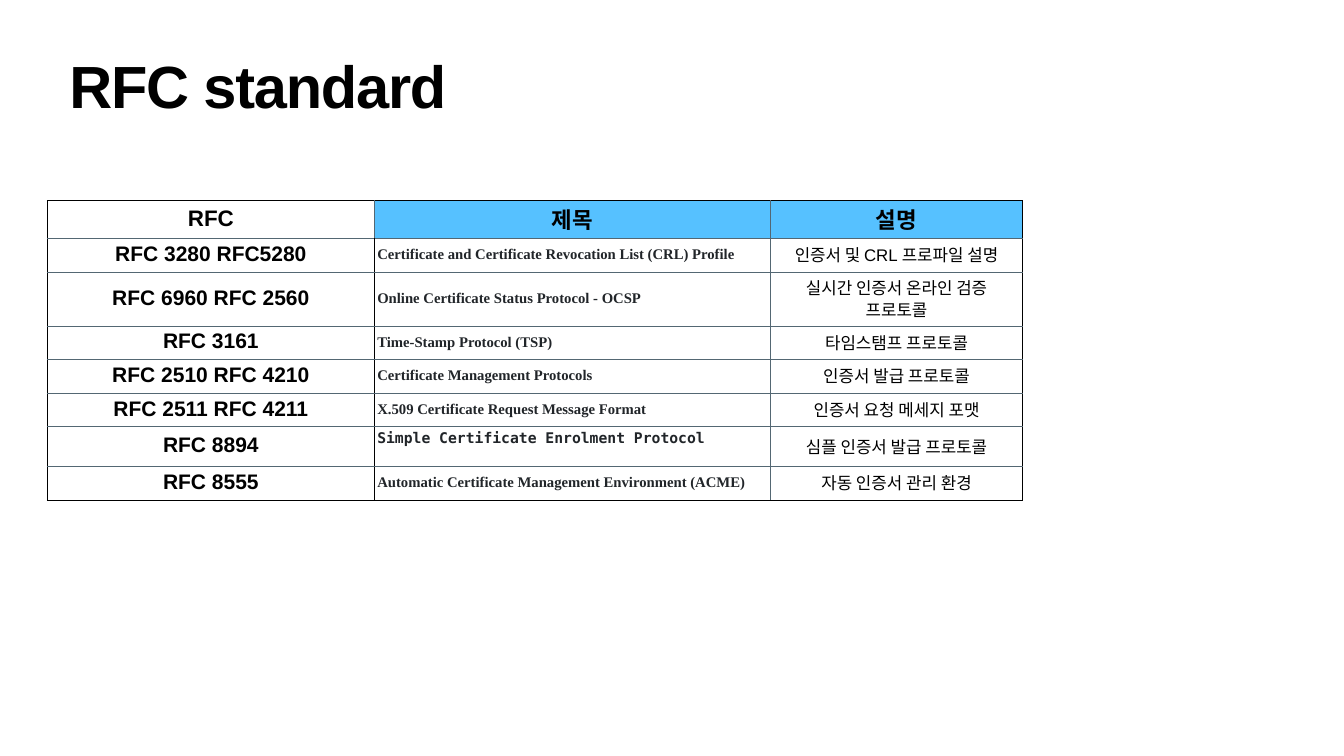
from pptx import Presentation
from pptx.dml.color import RGBColor
from pptx.enum.text import MSO_ANCHOR as Anchor, PP_ALIGN as Align
from pptx.oxml.ns import qn
from pptx.util import Pt
from lxml.etree import SubElement as Sub

BLACK, GRAY, DARK, BLUE, WHITE = "000000", "536773", "212529", "56C1FF", "FFFFFF"
SERIF, MONO = "Times New Roman", "DejaVu Sans Mono"
PAD = 4

HEAD = ["RFC", "제목", "설명"]
ROWS = [
    ("RFC 3280 RFC5280", "Certificate and Certificate Revocation List (CRL) Profile", "인증서 및 CRL 프로파일 설명"),
    ("RFC 6960 RFC 2560", "Online Certificate Status Protocol - OCSP", "실시간 인증서 온라인 검증 프로토콜"),
    ("RFC 3161", "Time-Stamp Protocol (TSP)", "타임스탬프 프로토콜"),
    ("RFC 2510 RFC 4210", "Certificate Management Protocols", "인증서 발급 프로토콜"),
    ("RFC 2511 RFC 4211", "X.509 Certificate Request Message Format", "인증서 요청 메세지 포맷"),
    ("RFC 8894", "Simple Certificate Enrolment Protocol", "심플 인증서 발급 프로토콜"),
    ("RFC 8555", "Automatic Certificate Management Environment (ACME)", "자동 인증서 관리 환경"),
]
WRAP_ROW, MONO_ROW = 2, 6
WIDTHS = [467.5, 566, 359.5]
HIGH = 48
TALL = {0: 54, WRAP_ROW: 77, MONO_ROW: 57}
STYLES = [
    ("Arial", 30, True, BLACK, Align.CENTER),
    (SERIF, 21, True, DARK, Align.LEFT),
    ("Arial", 24, False, BLACK, Align.CENTER),
]


def color(code):
    """Turn a hex string into a colour."""
    return RGBColor.from_string(code)


def write(para, text, face, size, bold, code):
    """Add one styled run to a paragraph."""
    run = para.add_run()
    run.text = text
    font = run.font
    font.name, font.size, font.bold = face, Pt(size), bold
    font.color.rgb = color(code)
    return run


def pad(box):
    """Give a cell or text frame equal margins."""
    box.margin_left = box.margin_top = box.margin_right = box.margin_bottom = Pt(PAD)


def edge(cell, sides):
    """Draw the four cell borders, ahead of the fill."""
    props = cell._tc.get_or_add_tcPr()
    for i, (side, (code, wide)) in enumerate(sides.items()):
        line = Sub(props, qn("a:ln" + side), w=str(Pt(wide)))
        Sub(Sub(line, qn("a:solidFill")), qn("a:srgbClr"), val=code)
        props.insert(i, line)


def fill_cell(cell, text, row, col):
    """Style one table cell by its row and column."""
    face, size, bold, code, align = STYLES[col]
    if row == 0:
        face, size, bold, code, align = "Arial", 32, True, BLACK, Align.CENTER
    mono = row == MONO_ROW and col == 1
    pad(cell)
    cell.vertical_anchor = Anchor.MIDDLE
    para = cell.text_frame.paragraphs[0]
    para.alignment, para.line_spacing = align, 0.9
    write(para, text, MONO if mono else face, size, bold, code)
    if mono:
        para.add_line_break()
    cell.fill.solid()
    cell.fill.fore_color.rgb = color(BLUE if row == 0 and col else WHITE)
    outer, inner = (BLACK, 1), (GRAY, 1)
    right = outer if col == len(HEAD) - 1 else inner
    edge(cell, {
        "L": outer if col == 0 else inner,
        "R": (BLACK, 2) if row and col == 0 else right,
        "T": outer if row == 0 else inner,
        "B": outer if row == len(ROWS) else inner,
    })


def main():
    """Build the slide and save it."""
    deck = Presentation()
    deck.slide_width, deck.slide_height = Pt(1920), Pt(1080)
    slide = deck.slides.add_slide(deck.slide_layouts[6])

    frame = slide.shapes.add_textbox(Pt(95), Pt(86), Pt(1730), Pt(113)).text_frame
    frame.word_wrap = True
    pad(frame)
    para = frame.paragraphs[0]
    para.line_spacing = 0.8
    run = write(para, "RFC standard", "Arial", 85, True, BLACK)
    run.font._element.set("spc", "-170")

    grid = [HEAD, *ROWS]
    highs = [TALL.get(row, HIGH) for row in range(len(grid))]
    table = slide.shapes.add_table(
        len(grid), len(HEAD), Pt(67.5), Pt(286.5), Pt(sum(WIDTHS)), Pt(sum(highs))
    ).table
    table.first_row = table.horz_banding = False
    for col, wide in enumerate(WIDTHS):
        table.columns[col].width = Pt(wide)
    for row, texts in enumerate(grid):
        table.rows[row].height = Pt(highs[row])
        for col, text in enumerate(texts):
            fill_cell(table.cell(row, col), text, row, col)
    deck.save("out.pptx")


if __name__ == "__main__":
    main()
